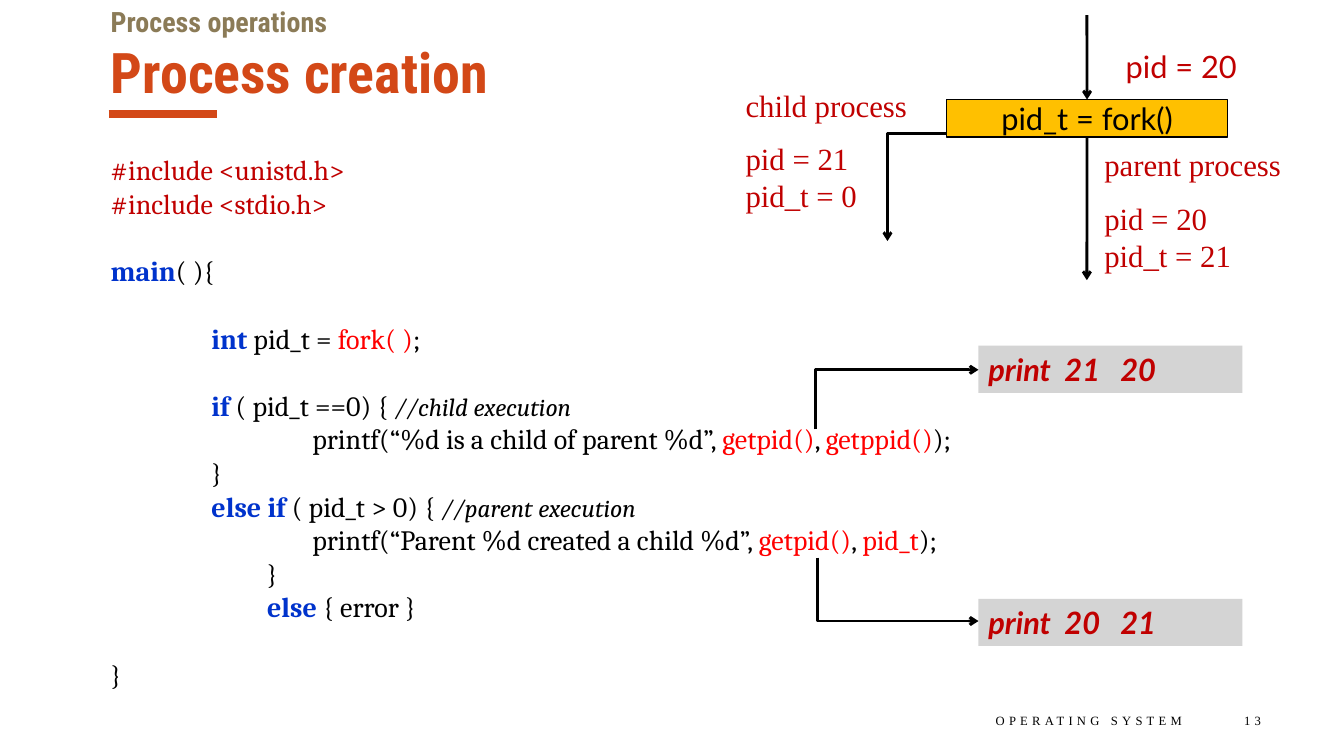
"""Build the slide on process creation with fork()."""
from lxml.etree import SubElement
from pptx import Presentation
from pptx.dml.color import RGBColor
from pptx.enum.shapes import MSO_CONNECTOR as Link, MSO_SHAPE as Form
from pptx.enum.text import MSO_ANCHOR as Anchor, MSO_AUTO_SIZE as Fit, PP_ALIGN as Align
from pptx.oxml.ns import qn
from pptx.util import Cm, Pt

INKS = {"black": "000000", "wine": "C00000", "red": "FF0000", "blue": "0033CC",
        "rust": "D34817", "tan": "8B7B57", "gold": "FFC000", "gray": "BFBFBF"}
HEAD, CODE, SANS, SERIF = "Roboto Condensed", "Cambria", "Lato", "Times New Roman"

WORD = {"ink": "blue", "bold": True}
CALL = {"ink": "red"}
NOTE = {"size": 18, "slant": True}
LIB = {"ink": "wine"}
LINES = [
    [("#include <unistd.h>", LIB)],
    [("#include <stdio.h>", LIB)],
    [("main", WORD), "( ){"],
    [("\tint", WORD), " pid_t = ", ("fork( )", CALL), ";"],
    [("\tif", WORD), " ( pid_t ==0) { ", ("//child execution", NOTE)],
    ["\t\tprintf(“%d is a child of parent %d”, ", ("getpid()", CALL), ", ",
     ("getppid()", CALL), ");"],
    ["\t}"],
    [("\telse if ", WORD), "( pid_t > 0) { ", ("//parent execution", NOTE)],
    ["\t\tprintf(“Parent %d created a child %d”, ", ("getpid()", CALL), ", ",
     ("pid_t", CALL), ");"],
    ["\t         }"],
    ["\t         ", ("else ", WORD), "{ error }"],
    ["}"],
]
GAPS = {2: 24, 3: 24, 4: 24, 11: 24}


def tint(name):
    """Return the named colour."""
    return RGBColor.from_string(INKS[name])


def style(run, font, size, ink="black", bold=False, slant=False, track=0):
    """Format one run."""
    face = run.font
    face.name, face.size, face.bold, face.italic = font, Pt(size), bold, slant
    face.color.rgb = tint(ink)
    if track:
        run._r.get_or_add_rPr().set("spc", str(track * 100))


def write(shape, rows, align=Align.LEFT, anchor=Anchor.TOP, gaps=None, tabs=(), **look):
    """Fill a shape with rows of plain or specially styled runs."""
    frame = shape.text_frame
    frame.word_wrap, frame.auto_size = True, Fit.NONE
    frame.vertical_anchor = anchor
    for i, row in enumerate(rows):
        para = frame.paragraphs[0] if i == 0 else frame.add_paragraph()
        para.alignment = align
        para.space_before = Pt((gaps or {}).get(i, 0))
        if tabs:
            stops = SubElement(para._p.get_or_add_pPr(), qn("a:tabLst"))
            for stop in tabs:
                SubElement(stops, qn("a:tab"), pos=str(Cm(stop)), algn="l")
        for part in [row] if isinstance(row, str) else row:
            text, extra = (part, {}) if isinstance(part, str) else part
            run = para.add_run()
            run.text = text
            style(run, **{**look, **extra})


def label(slide, box, rows, **look):
    """Add a text box."""
    write(slide.shapes.add_textbox(*map(Cm, box)), rows, **look)


def block(slide, box, text, fill, edge=None, alpha=None, **look):
    """Add a filled rectangle with text."""
    shape = slide.shapes.add_shape(Form.RECTANGLE, *map(Cm, box))
    shape.shadow.inherit = False
    shape.fill.solid()
    shape.fill.fore_color.rgb = tint(fill)
    if alpha:
        color = shape._element.spPr.find(qn("a:solidFill"))[0]
        SubElement(color, qn("a:alpha"), val=str(alpha * 1000))
    if edge:
        shape.line.color.rgb = tint(edge)
        shape.line.width = Pt(1)
    else:
        shape.line.fill.background()
    write(shape, [text], anchor=Anchor.MIDDLE, font=SANS, size=22, **look)
    return shape


def link(slide, ends, kind=Link.STRAIGHT, ink="black", width=2, arrow=True):
    """Add a connector, with an arrowhead at its end if wanted."""
    line = slide.shapes.add_connector(kind, *map(Cm, ends))
    line.line.color.rgb = tint(ink)
    line.line.width = Pt(width)
    if arrow:
        SubElement(line.line._get_or_add_ln(), qn("a:tailEnd"), type="arrow")
    SubElement(line._element.spPr, qn("a:effectLst"))
    return line


def elbow(slide, ends, turn=0):
    """Add an arrow that bends once, turned by some degrees."""
    props = link(slide, ends, Link.ELBOW)._element.spPr
    geom = props.find(qn("a:prstGeom"))
    guides = geom.find(qn("a:avLst"))
    if guides is None:
        guides = SubElement(geom, qn("a:avLst"))
    SubElement(guides, qn("a:gd"), name="adj1", fmla="val 0")
    if turn:
        props.find(qn("a:xfrm")).set("rot", str(turn * 60000))


def heads(slide):
    """Add the title, the line above it, its rule and the footer."""
    link(slide, (2.74, 2.87, 5.46, 2.87), ink="rust", width=6, arrow=False)
    title = slide.shapes.title
    title.left, title.top, title.width, title.height = map(Cm, (2.54, 0.89, 28.78, 1.55))
    title.text_frame.margin_top = Cm(0.06)
    write(title, ["Process creation"], font=HEAD, size=40, ink="rust", bold=True)
    label(slide, (2.54, 0, 28.78, 1.02), ["Process operations"],
          font=HEAD, size=20, ink="tan", bold=True)
    for left, width, text in ((18.8, 11.23, "OPERATING SYSTEM"), (30.02, 2.01, "13")):
        label(slide, (left, 17.65, width, 1.02), [text], align=Align.RIGHT,
              anchor=Anchor.MIDDLE, font=SERIF, size=9, track=3)


def flow(slide):
    """Draw how fork() splits one process into two."""
    fork = block(slide, (23.85, 2.51, 7.09, 0.94), "pid_t = fork()", "gold",
                 edge="black", align=Align.CENTER)
    link(slide, (27.39, 0.38, 27.39, 2.51)).end_connect(fork, 0)
    link(slide, (27.39, 3.45, 27.39, 7.06)).begin_connect(fork, 2)
    elbow(slide, (21.74, 3.98, 24.46, 5.45), turn=90)
    label(slide, (28.12, 1.07, 4.78, 1.19), ["pid = 20"], font=SANS, size=22, ink="wine")
    for box, rows in (
        ((27.58, 3.56, 6.43, 3.51), ["parent process", "pid = 20", "pid_t = 21"]),
        ((18.54, 2.06, 5.64, 3.51), ["child process", "pid = 21", "pid_t = 0"]),
    ):
        label(slide, box, rows, gaps={1: 11.5}, font=SERIF, size=22, ink="wine")


def prints(slide):
    """Show what each branch prints."""
    for top, text, ends in (
        (8.71, "print  21   20", (20.55, 10.82, 24.66, 9.32)),
        (15.09, "print  20   21", (20.6, 14.05, 24.66, 15.65)),
    ):
        block(slide, (24.66, top, 6.65, 1.19), text, "gray", alpha=67,
              ink="wine", bold=True, slant=True)
        elbow(slide, ends)


def main():
    """Build and save the deck."""
    deck = Presentation()
    deck.slide_width, deck.slide_height = Cm(33.87), Cm(19.05)
    slide = deck.slides.add_slide(deck.slide_layouts[5])
    heads(slide)
    label(slide, (2.54, 3.73, 28.12, 13.84), LINES, gaps=GAPS, tabs=(2.54, 5.08),
          font=CODE, size=20)
    flow(slide)
    prints(slide)
    deck.save("out.pptx")


if __name__ == "__main__":
    main()
